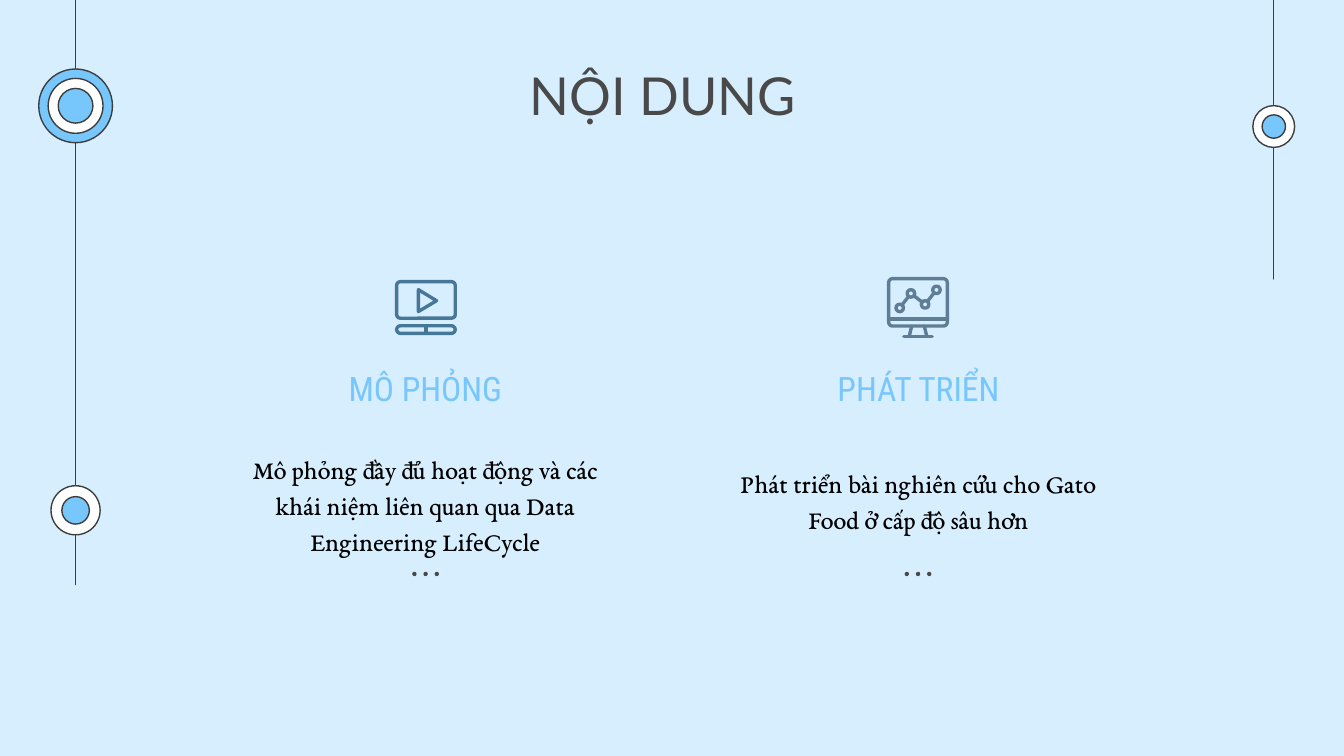
from lxml import etree
from pptx import Presentation
from pptx.dml.color import RGBColor
from pptx.enum.shapes import MSO_CONNECTOR, MSO_SHAPE
from pptx.enum.text import MSO_ANCHOR, PP_ALIGN
from pptx.oxml.ns import qn
from pptx.util import Pt

OVAL, ROUND = MSO_SHAPE.OVAL, MSO_SHAPE.ROUNDED_RECTANGLE
STRAIGHT = MSO_CONNECTOR.STRAIGHT
TOP, MIDDLE = MSO_ANCHOR.TOP, MSO_ANCHOR.MIDDLE
CENTER = PP_ALIGN.CENTER

HUES = {
    "back": "D6EEFE", "ink": "3D3D3D", "white": "FFFFFF", "sky": "77C6FC",
    "gray": "494949", "black": "000000", "video": "477797", "chart": "5F7D95",
}
STROKE = 1.8


class Deck:
    """Holds the style and the current slide, and draws each kind of element."""

    def __init__(self, slide):
        self.slide = slide
        self.shapes = slide.shapes
        self.paint(slide.background.fill, "back")

    def paint(self, fill, hue):
        fill.solid()
        fill.fore_color.rgb = RGBColor.from_string(HUES[hue])

    def style(self, shape, fill, line, width):
        shape.shadow.inherit = False
        if fill:
            self.paint(shape.fill, fill)
        else:
            shape.fill.background()
        if line:
            self.paint(shape.line.fill, line)
            shape.line.width = Pt(width)
        else:
            shape.line.fill.background()
        return shape

    def disc(self, x, y, size, fill, line=None, width=0.75):
        box = (x - size / 2, y - size / 2, size, size)
        shape = self.shapes.add_shape(OVAL, *map(Pt, box))
        return self.style(shape, fill, line, width)

    def rings(self, x, y, sizes, fills):
        for size, fill in zip(sizes, fills):
            self.disc(x, y, size, fill, "ink")

    def frame(self, box, bend, hue):
        shape = self.shapes.add_shape(ROUND, *map(Pt, box))
        shape.adjustments[0] = bend
        return self.style(shape, None, hue, STROKE)

    def line(self, start, end, hue, width=STROKE):
        link = self.shapes.add_connector(STRAIGHT, *map(Pt, start + end))
        self.paint(link.line.fill, hue)
        link.line.width = Pt(width)
        link.line._get_or_add_ln().set("cap", "rnd")
        etree.SubElement(link.element.spPr, qn("a:effectLst"))
        return link

    def outline(self, points, hue):
        first, *rest = [tuple(map(Pt, point)) for point in points]
        maker = self.shapes.build_freeform(*first)
        maker.add_line_segments(rest, close=True)
        return self.style(maker.convert_to_shape(), None, hue, STROKE)

    def text(self, box, words, font, size, hue, anchor=TOP, space=None, before=0):
        frame = self.shapes.add_textbox(*map(Pt, box)).text_frame
        frame.word_wrap = True
        frame.vertical_anchor = anchor
        frame.margin_left = frame.margin_right = Pt(7.2)
        frame.margin_top = frame.margin_bottom = Pt(7.2)
        para = frame.paragraphs[0]
        para.text = words
        para.alignment = CENTER
        para.line_spacing = space
        para.space_before = Pt(before)
        para.font.name = font
        para.font.size = Pt(size)
        self.paint(para.font.fill, hue)

    def video(self, x, y):
        self.frame((x, y, 31.4, 19.6), 0.1, "video")
        bar = self.frame((x, y + 23.6, 31.4, 4.1), 0.5, "video")
        mid = x + 15.7
        split = self.line((mid, y + 23.6), (mid, y + 27.7), "video")
        split.begin_connect(bar, 0)
        split.end_connect(bar, 2)
        self.outline([(x + 11.7, y + 4.3), (x + 21.4, y + 10.2), (x + 11.7, y + 16)], "video")

    def chart(self, x, y):
        self.frame((x, y, 31.4, 25.4), 0.08, "chart")
        mid, foot = x + 15.7, y + 31
        self.line((x, y + 21.7), (x + 31.4, y + 21.7), "chart")
        for side in (-1, 1):
            self.line((mid + side * 3.4, y + 25.4), (mid + side * 4.7, foot), "chart")
        self.line((mid - 7.6, foot), (mid + 7.6, foot), "chart")
        nodes = [(x + 5.9, y + 15.7), (x + 11.9, y + 7.9), (x + 19.5, y + 13.8), (x + 25.6, y + 6)]
        for start, end in zip(nodes, nodes[1:]):
            self.line(start, end, "chart")
        for node in nodes:
            self.disc(*node, 4, "back", "chart", STROKE)


def main():
    show = Presentation()
    show.slide_width, show.slide_height = Pt(720), Pt(405)
    deck = Deck(show.slides.add_slide(show.slide_layouts[6]))

    left, right = 40.5, 682.4
    deck.line((left, 0), (left, 313.2), "ink", 0.75)
    deck.line((right, 0), (right, 149.5), "ink", 0.75)
    deck.rings(left, 273.4, (26.3, 14.7), ("white", "sky"))
    deck.rings(right, 67.8, (22.4, 12.5), ("white", "sky"))
    deck.rings(left, 56.7, (39.5, 29.4, 18.6), ("sky", "white", "sky"))

    deck.text((135.4, 26.6, 439.2, 46.8), "NỘI DUNG", "Lato", 28, "gray")
    parts = [
        (228, 158.4, "MÔ PHỎNG", (123.8, 226.8, 208.1, 85), 2.6,
         "Mô phỏng đầy đủ hoạt động và các khái niệm liên quan qua Data Engineering LifeCycle"),
        (491.8, 422.6, "PHÁT TRIỂN", (383, 224.6, 218.2, 85), 1.6,
         "Phát triển bài nghiên cứu cho Gato Food ở cấp độ sâu hơn"),
    ]
    for mid, edge, head, box, before, body in parts:
        for step in (-6, 0, 6):
            deck.disc(mid + step, 307.5, 2.3, "gray")
        deck.text((edge, 190.1, 139, 25.9), head, "Roboto Condensed", 18, "sky")
        deck.text(box, body, "EB Garamond", 14, "black", MIDDLE, 1.15, before)

    deck.video(212.5, 150.9)
    deck.chart(476.1, 149.3)
    show.save("out.pptx")


if __name__ == "__main__":
    main()
